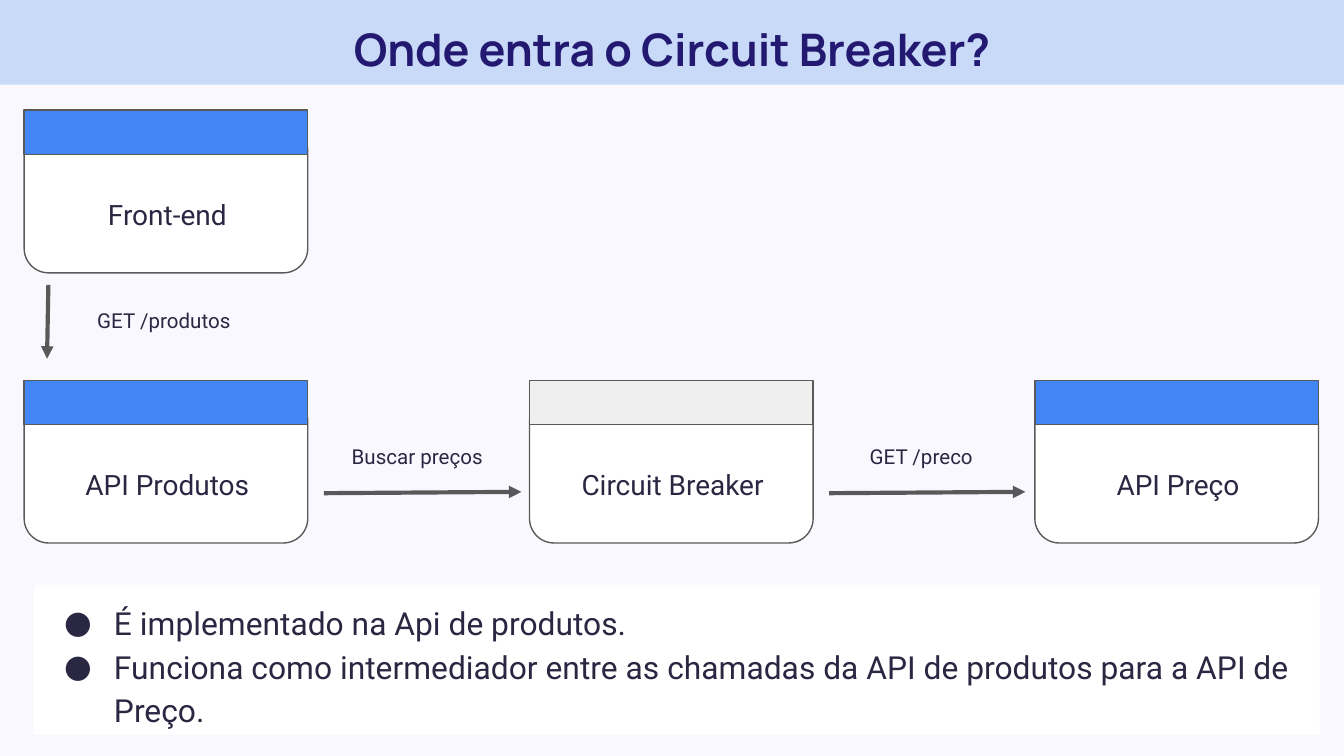
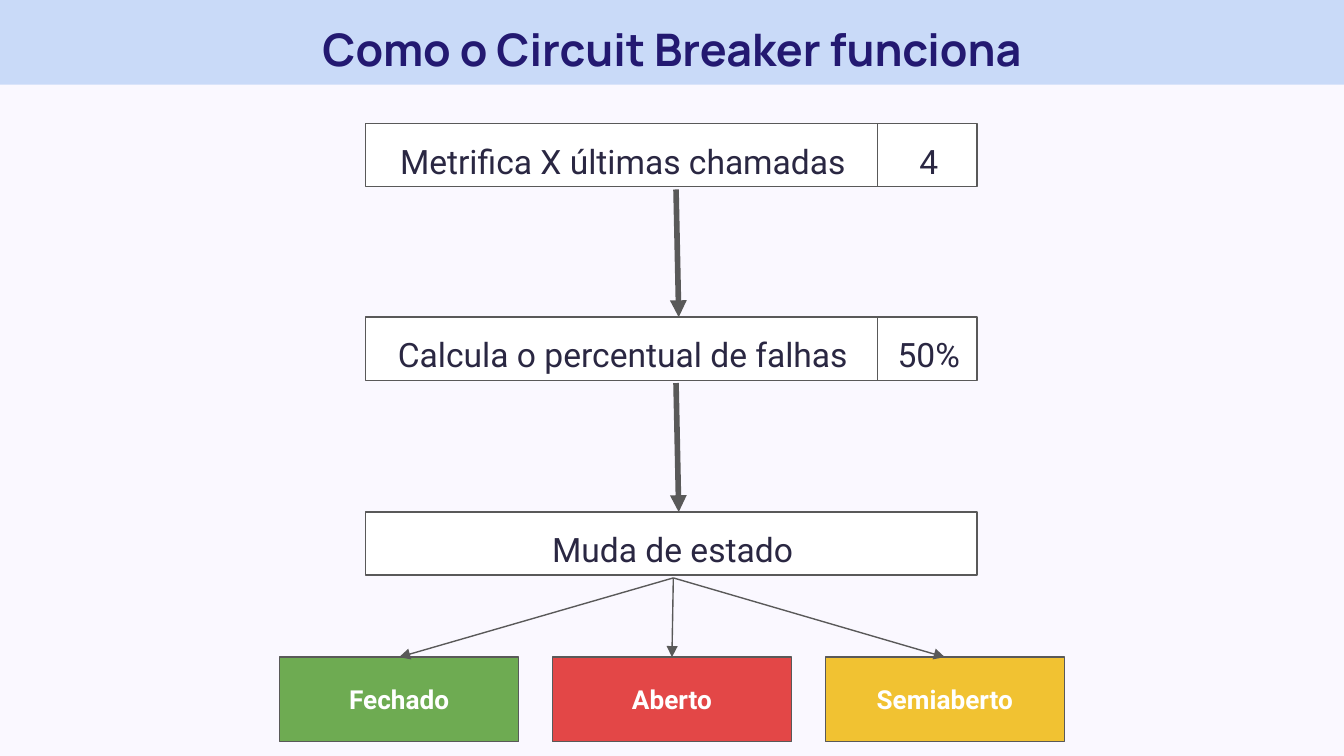
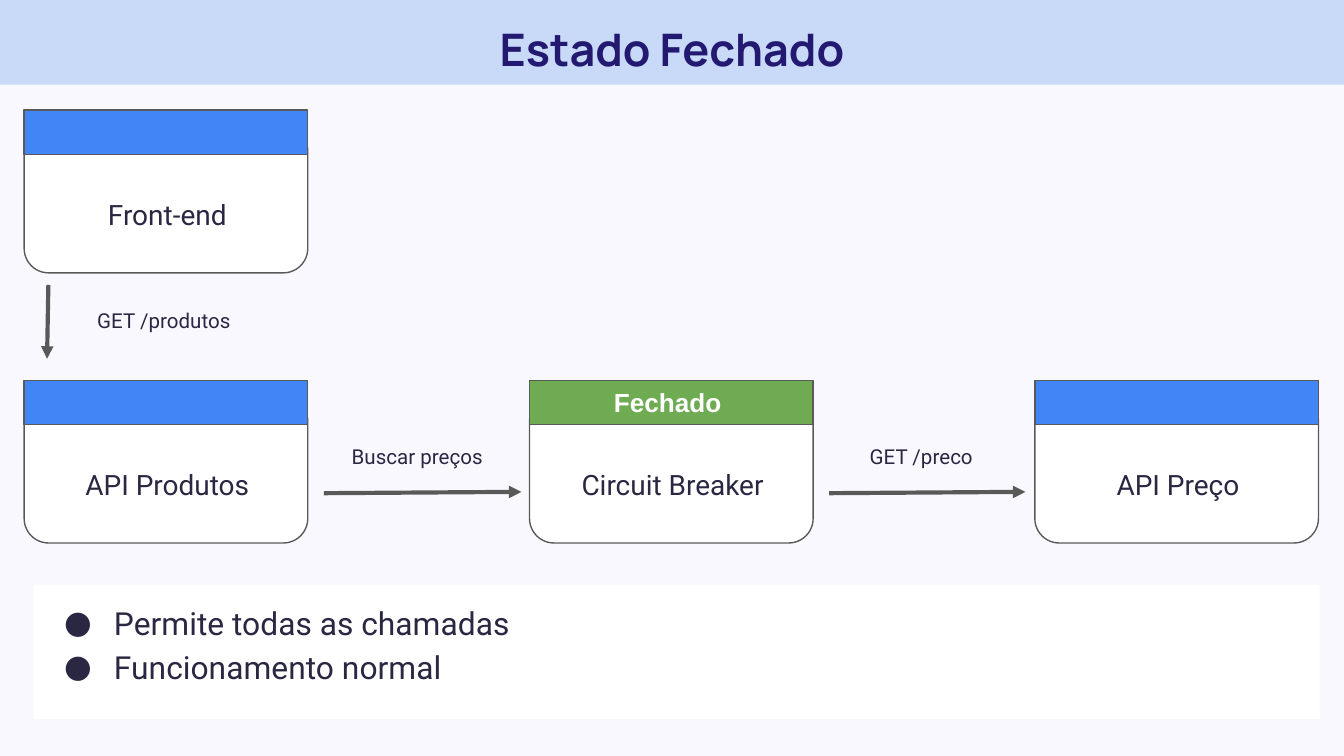
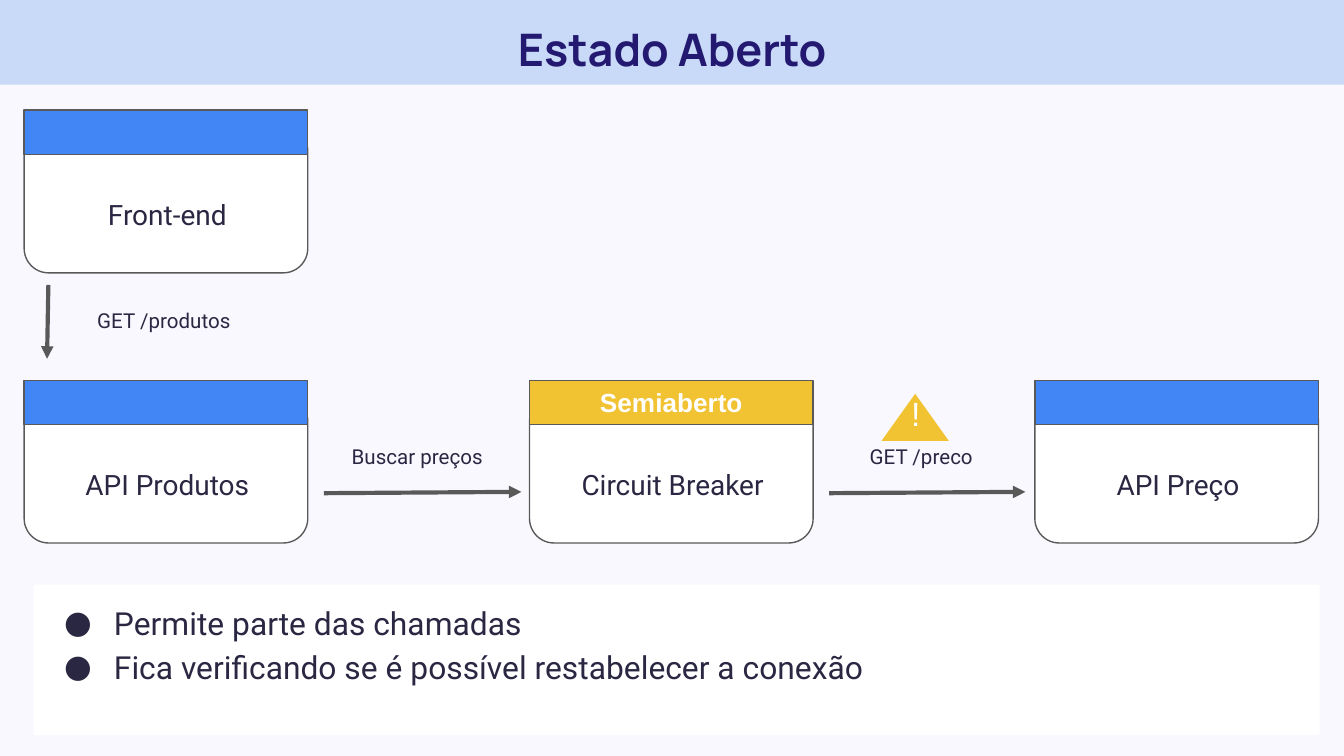
from dataclasses import dataclass
from typing import Optional

import pptx
import pptx.dml.color
import pptx.enum.shapes
import pptx.enum.text
import pptx.oxml.ns
import pptx.util
from lxml import etree

Inches = pptx.util.Inches
Pt = pptx.util.Pt
SHAPE = pptx.enum.shapes.MSO_SHAPE
ALIGN = pptx.enum.text.PP_ALIGN
ANCHOR = pptx.enum.text.MSO_ANCHOR
AUTO_SIZE = pptx.enum.text.MSO_AUTO_SIZE
qn = pptx.oxml.ns.qn

COLORS = {
    "background": "FAF8FF",
    "band": "C9DAF8",
    "title": "231971",
    "text": "2A2742",
    "line": "595959",
    "white": "FFFFFF",
    "blue": "4285F4",
    "gray": "EFEFEF",
    "green": "6EAB52",
    "red": "E34747",
    "yellow": "F1C232",
}
NODE_W = 2.11
STEP_H = 0.47


@dataclass(frozen=True)
class Style:
    size: float
    color: str = "text"
    font: str = "Roboto"
    bold: bool = False
    align: Optional[ALIGN] = ALIGN.CENTER
    anchor: ANCHOR = ANCHOR.MIDDLE
    spacing: Optional[float] = None
    after: Optional[float] = None


@dataclass(frozen=True)
class Node:
    label: str
    left: float
    top: float
    header: str = "blue"
    state: str = ""


@dataclass(frozen=True)
class Call:
    label: str
    start: tuple[float, float]
    end: tuple[float, float]
    label_at: tuple[float, float]
    label_w: float = 1.47


@dataclass(frozen=True)
class Step:
    label: str
    top: float
    width: float
    value: str = ""


@dataclass(frozen=True)
class FlowSlide:
    title: str
    header: str
    state: str
    bullets: tuple[str, ...]
    panel_h: float = 1.12
    warning: bool = False


TITLE = Style(24, "title", "Manrope", True, anchor=ANCHOR.TOP, spacing=1.15, after=6)
NODE_LABEL = Style(15)
HEADER = Style(14, "white", "Arial", True)
CALL_LABEL = Style(11, anchor=ANCHOR.TOP)
STEP_LABEL = Style(18, spacing=1.15, after=6)
STATE = Style(14, "white", bold=True)
BULLET = Style(17, align=ALIGN.LEFT, anchor=ANCHOR.TOP, spacing=1.15)
WARNING = Style(18, "white", "Arial")

SERVICES = (
    Node("Front-end", 0.18, 0.82),
    Node("API Produtos", 0.18, 2.83),
    Node("API Preço", 7.7, 2.83),
)
CALLS = (
    Call("GET /produtos", (0.36, 2.12), (0.35, 2.67), (0.58, 2.2), 1.28),
    Call("Buscar preços", (2.41, 3.67), (3.88, 3.66), (2.37, 3.21)),
    Call("GET /preco", (6.17, 3.67), (7.63, 3.66), (6.12, 3.21)),
)
STEPS = (
    Step("Metrifica X últimas chamadas", 0.92, 3.81, "4"),
    Step("Calcula o percentual de falhas", 2.36, 3.81, "50%"),
    Step("Muda de estado", 3.81, 4.55),
)
STATES = (("Fechado", "green"), ("Aberto", "red"), ("Semiaberto", "yellow"))

PLACEMENT = FlowSlide(
    "Onde entra o Circuit Breaker?", "gray", "",
    ("É implementado na Api de produtos.",
     "Funciona como intermediador entre as chamadas da API de produtos "
     "para a API de Preço."),
)
CLOSED = FlowSlide(
    "Estado Fechado", "green", "Fechado ",
    ("Permite todas as chamadas", "Funcionamento normal"), panel_h=1,
)
HALF_OPEN = FlowSlide(
    "Estado Aberto", "yellow", "Semiaberto",
    ("Permite parte das chamadas",
     "Fica verificando se é possível restabelecer a conexão"), warning=True,
)


def rgb(name: str) -> pptx.dml.color.RGBColor:
    return pptx.dml.color.RGBColor.from_string(COLORS[name])


def add_bullet(p, font: str) -> None:
    pPr = p._p.get_or_add_pPr()
    pPr.set("marL", str(Inches(0.5)))
    pPr.set("indent", str(Inches(-0.37)))
    color = etree.SubElement(pPr, qn("a:buClr"))
    etree.SubElement(color, qn("a:srgbClr")).set("val", COLORS["text"])
    etree.SubElement(pPr, qn("a:buFont")).set("typeface", font)
    etree.SubElement(pPr, qn("a:buChar")).set("char", "●")


def write(sp, lines: tuple[str, ...], style: Style, bulleted: bool = False) -> None:
    tf = sp.text_frame
    tf.word_wrap = True
    tf.auto_size = AUTO_SIZE.NONE
    tf.vertical_anchor = style.anchor
    tf.margin_left = tf.margin_right = tf.margin_top = tf.margin_bottom = Inches(0.1)
    tf.text = "\n".join(lines)
    for p in tf.paragraphs:
        p.alignment = style.align
        if style.spacing:
            p.line_spacing = style.spacing
        p.space_before = Pt(0)
        if style.after:
            p.space_after = Pt(style.after)
        if bulleted:
            add_bullet(p, style.font)
        for r in p.runs:
            r.font.name = style.font
            r.font.size = Pt(style.size)
            r.font.bold = style.bold
            r.font.color.rgb = rgb(style.color)


def add_box(shapes, kind: SHAPE, left: float, top: float, width: float,
            height: float, fill: str, outlined: bool = True):
    sp = shapes.add_shape(kind, Inches(left), Inches(top), Inches(width), Inches(height))
    sp.shadow.inherit = False
    sp.fill.solid()
    sp.fill.fore_color.rgb = rgb(fill)
    if outlined:
        sp.line.color.rgb = rgb("line")
        sp.line.width = Pt(0.75)
    else:
        sp.line.fill.background()
    return sp


def add_label(shapes, text: str, left: float, top: float, width: float,
              height: float, style: Style):
    sp = shapes.add_textbox(Inches(left), Inches(top), Inches(width), Inches(height))
    write(sp, (text,), style)
    return sp


def add_arrow(shapes, start: tuple[float, float], end: tuple[float, float],
              weight: float):
    line = shapes.add_connector(
        pptx.enum.shapes.MSO_CONNECTOR.STRAIGHT,
        *(Inches(v) for v in start + end))
    line.line.color.rgb = rgb("line")
    line.line.width = Pt(weight)
    ln = line.line._get_or_add_ln()
    etree.SubElement(ln, qn("a:tailEnd")).set("type", "triangle")
    etree.SubElement(line._element.spPr, qn("a:effectLst"))
    return line


def add_node(s, node: Node) -> None:
    shapes = s.shapes.add_group_shape().shapes
    add_box(shapes, SHAPE.ROUNDED_RECTANGLE, node.left, node.top + 0.12,
            NODE_W, 1.09, "white")
    header = add_box(shapes, SHAPE.RECTANGLE, node.left, node.top,
                     NODE_W, 0.33, node.header)
    if node.state:
        write(header, (node.state,), HEADER)
    add_label(shapes, node.label, node.left + 0.01, node.top + 0.34,
              NODE_W, 0.87, NODE_LABEL)


def add_call(s, call: Call) -> None:
    shapes = s.shapes.add_group_shape().shapes
    add_arrow(shapes, call.start, call.end, 2.25)
    sp = add_label(shapes, call.label, *call.label_at, call.label_w, 0.39, CALL_LABEL)
    sp.text_frame.auto_size = AUTO_SIZE.SHAPE_TO_FIT_TEXT


def add_step(s, step: Step) -> None:
    shapes = s.shapes.add_group_shape().shapes
    cells = [(step.label, 2.72, step.width, 0.01)]
    if step.value:
        cells.append((step.value, 2.72 + step.width, 0.74, 0.01))
    for text, left, width, shift in cells:
        add_box(shapes, SHAPE.RECTANGLE, left, step.top, width, STEP_H, "white")
        add_label(shapes, text, left + shift, step.top + 0.02, width, STEP_H, STEP_LABEL)


def add_warning(s) -> None:
    shapes = s.shapes.add_group_shape().shapes
    add_box(shapes, SHAPE.ISOSCELES_TRIANGLE, 6.56, 2.93, 0.5, 0.35, "yellow", False)
    add_label(shapes, "!", 6.63, 2.87, 0.37, 0.41, WARNING)


def add_titled_slide(prs, title: str):
    s = prs.slides.add_slide(prs.slide_layouts.get_by_name("Title Only"))
    sp = s.shapes.title
    sp.left, sp.top, sp.width, sp.height = 0, 0, prs.slide_width, Inches(0.63)
    sp.fill.solid()
    sp.fill.fore_color.rgb = rgb("band")
    write(sp, (title,), TITLE)
    return s


def add_flow_slide(prs, flow: FlowSlide) -> None:
    s = add_titled_slide(prs, flow.title)
    breaker = Node("Circuit Breaker", 3.94, 2.83, flow.header, flow.state)
    for node in SERVICES + (breaker,):
        add_node(s, node)
    for call in CALLS:
        add_call(s, call)
    panel = add_box(s.shapes, SHAPE.RECTANGLE, 0.25, 4.35, 9.57, flow.panel_h,
                    "white", False)
    write(panel, flow.bullets, BULLET, bulleted=True)
    if flow.warning:
        add_warning(s)


def add_steps_slide(prs) -> None:
    s = add_titled_slide(prs, "Como o Circuit Breaker funciona")
    for step in STEPS:
        add_step(s, step)
    for step, following in zip(STEPS, STEPS[1:]):
        add_arrow(s.shapes, (5.03, step.top + STEP_H + 0.02), (5.05, following.top), 3)
    for i, (label, fill) in enumerate(STATES):
        left = 2.08 + 2.03 * i
        state = add_box(s.shapes, SHAPE.RECTANGLE, left, 4.89, 1.78, 0.63, fill)
        write(state, (label,), STATE)
        arrow = add_arrow(s.shapes, (5.01, 4.3), (left + 0.89, 4.89), 0.75)
        arrow.end_connect(state, 0)


def main() -> None:
    prs = pptx.Presentation()
    prs.slide_width = Inches(10)
    prs.slide_height = prs.slide_width * 9 // 16
    background = prs.slide_master.background.fill
    background.solid()
    background.fore_color.rgb = rgb("background")
    add_flow_slide(prs, PLACEMENT)
    add_steps_slide(prs)
    add_flow_slide(prs, CLOSED)
    add_flow_slide(prs, HALF_OPEN)
    prs.save("out.pptx")


if __name__ == "__main__":
    main()
